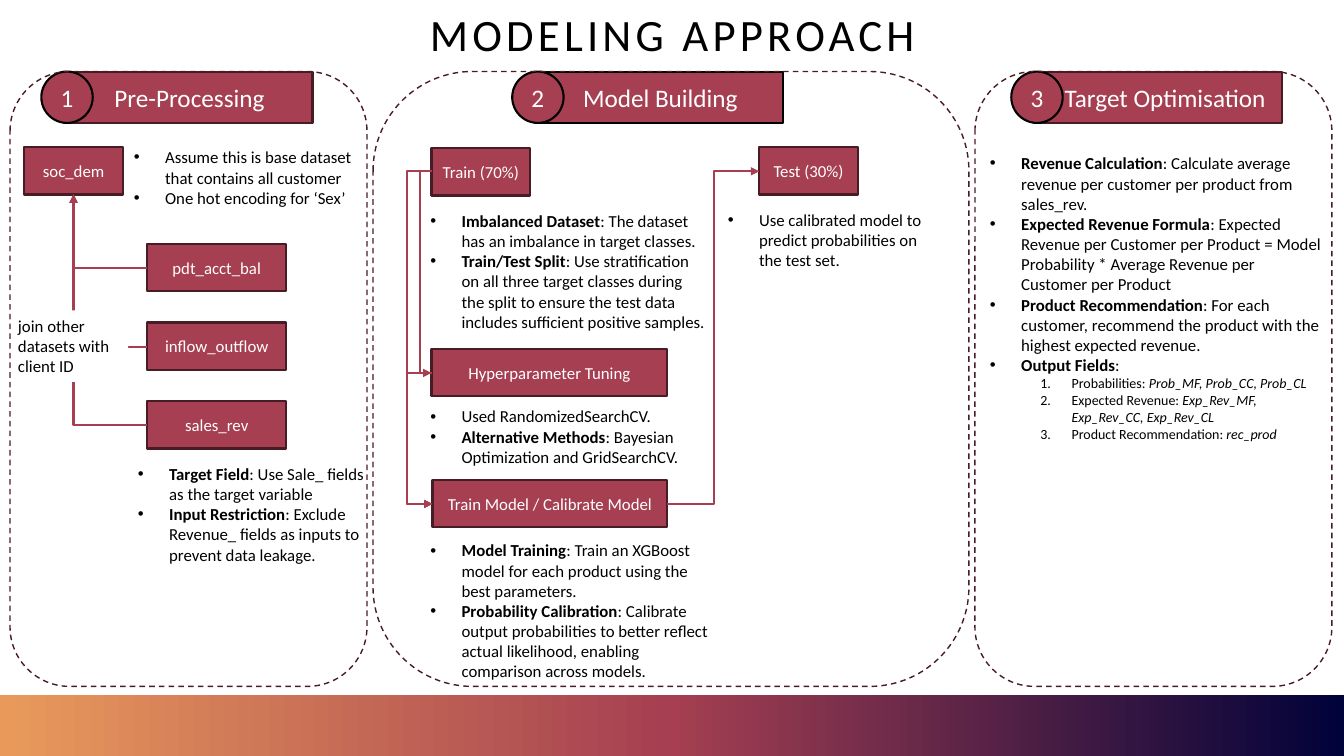
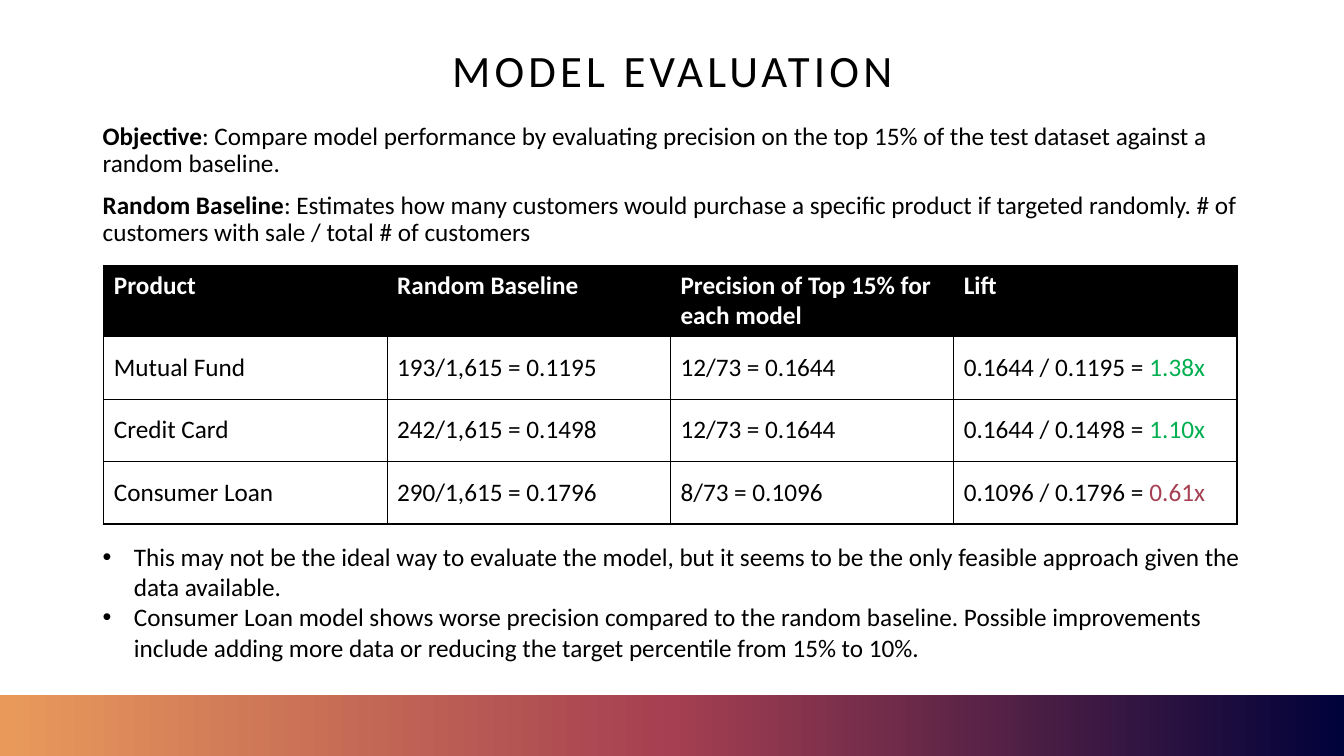
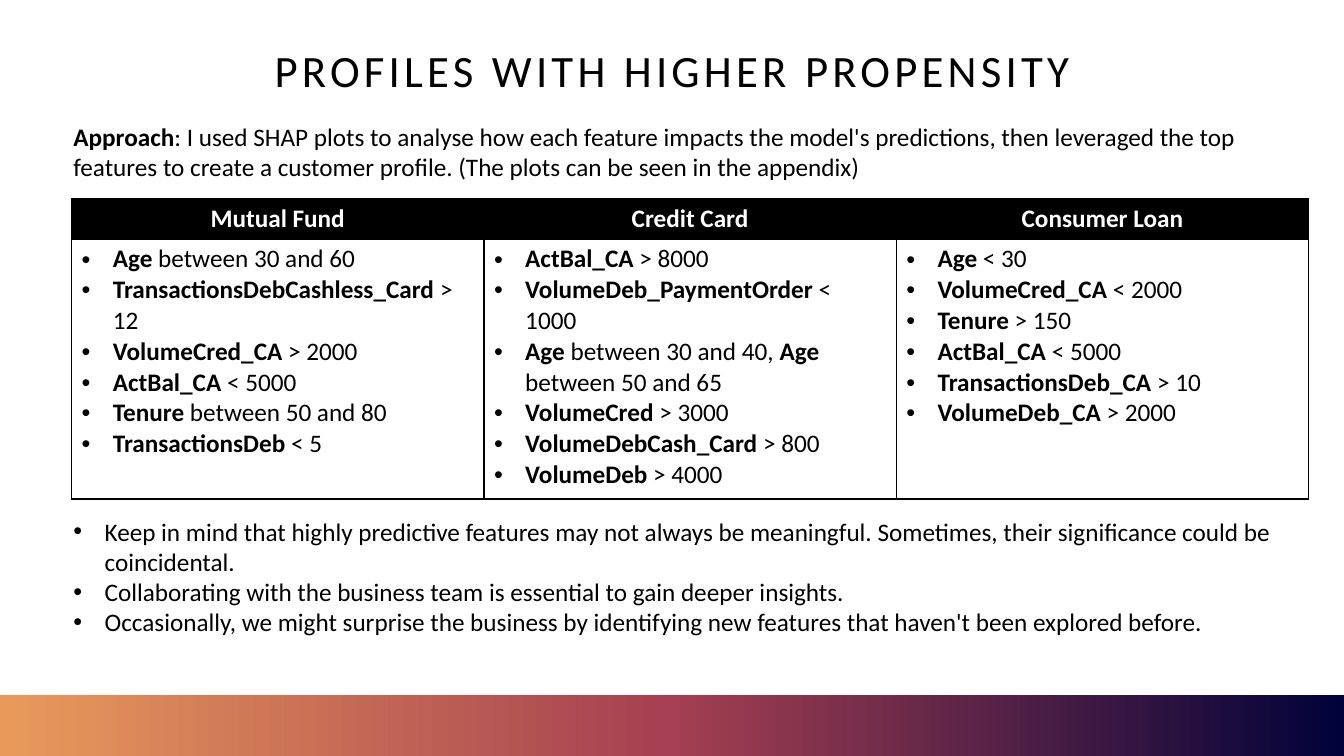
from lxml import etree
from pptx import Presentation, util as u
from pptx.dml.color import RGBColor
from pptx.enum import dml, shapes, text
from pptx.oxml.ns import qn

PX = 9144
FONT = "Calibri"
BLACK, WHITE = "000000", "FFFFFF"
ROSE, PLUM, GREEN = "A53F51", "481C24", "00B050"
BAND_STOPS = [(0, "E99A5B"), (50, ROSE), (100, "00023A")]
PAGE_WIDTH, PAGE_HEIGHT = 1333, 750
BAND_TOP, BAND_HEIGHT = 689, 61
INDENT = 31
NODE_HEIGHT = 47


def px(*lengths):
    return [u.Emu(length * PX) for length in lengths]


def colour(value):
    return RGBColor.from_string(value)


def child(parent, tag, **attributes):
    element = etree.SubElement(parent, qn(tag))
    for name, value in attributes.items():
        element.set(name, str(value))
    return element


def add_bullet(para, kind, level):
    props = para._p.get_or_add_pPr()
    props.set("marL", str((INDENT + 50 * level) * PX))
    props.set("indent", str(-INDENT * PX))
    if kind == "number":
        child(props, "a:buAutoNum", type="arabicPeriod")
    else:
        child(props, "a:buFont", typeface="Arial")
        child(props, "a:buChar", char="•")


def write(frame, lines, size, ink=BLACK, bullet=None, level=0, mark="bold",
          align=text.PP_ALIGN.LEFT, bold=False, spacing=None, before=0):
    for line in lines:
        fresh = not frame.text
        para = frame.paragraphs[0] if fresh else frame.add_paragraph()
        para.alignment = align
        if spacing:
            para.line_spacing = spacing
        if before and not fresh:
            para.space_before = u.Pt(before)
        if bullet:
            add_bullet(para, bullet, level)
        para.font.name = FONT
        para.font.size = u.Pt(size)
        para.font.bold = bold
        para.font.color.rgb = colour(ink)
        for index, part in enumerate(line.split("|")):
            if not part:
                continue
            span = para.add_run()
            span.text = part
            if index % 2 and mark in ("bold", "italic"):
                setattr(span.font, mark, True)
            elif index % 2:
                span.font.color.rgb = colour(mark)


def add_text(page, box, lines, size, fill=None, **style):
    label = page.shapes.add_textbox(*px(*box))
    if fill:
        label.fill.solid()
        label.fill.fore_color.rgb = colour(fill)
    label.text_frame.word_wrap = True
    write(label.text_frame, lines, size, **style)
    return label


def add_node(page, box, caption, size=12, line=PLUM, kind=shapes.MSO_SHAPE.RECTANGLE, inset=10):
    node = page.shapes.add_shape(kind, *px(*box))
    node.shadow.inherit = False
    node.fill.solid()
    node.fill.fore_color.rgb = colour(ROSE)
    node.line.color.rgb = colour(line)
    node.line.width = u.Pt(1.5)
    frame = node.text_frame
    frame.word_wrap = True
    frame.margin_left = px(inset)[0]
    frame.vertical_anchor = text.MSO_ANCHOR.MIDDLE
    write(frame, [caption], size, ink=WHITE, align=text.PP_ALIGN.CENTER)


def add_elbow(page, start, end, via=None):
    arrow = page.shapes.add_connector(shapes.MSO_CONNECTOR.ELBOW, *px(*start, *end))
    arrow.line.color.rgb = colour(ROSE)
    arrow.line.width = u.Pt(1.5)
    props = arrow._element.spPr
    geometry = props.find(qn("a:prstGeom"))
    if via is None:
        geometry.set("prst", "bentConnector2")
    else:
        ratio = (via - start[0]) / (end[0] - start[0])
        guides = geometry.find(qn("a:avLst"))
        child(guides, "a:gd", name="adj1", fmla=f"val {round(ratio * 100000)}")
    child(props.find(qn("a:ln")), "a:tailEnd", type="triangle")
    child(props, "a:effectLst")


def add_band(page):
    band = page.shapes.add_shape(shapes.MSO_SHAPE.RECTANGLE,
                                 *px(0, BAND_TOP, PAGE_WIDTH, BAND_HEIGHT))
    band.shadow.inherit = False
    band.line.fill.background()
    band.fill.gradient()
    band.fill.gradient_angle = 0
    stops = band._element.spPr.find(qn("a:gradFill")).find(qn("a:gsLst"))
    for stop in list(stops):
        stops.remove(stop)
    for position, value in BAND_STOPS:
        child(child(stops, "a:gs", pos=position * 1000), "a:srgbClr", val=value)


def new_page(deck, title, title_height=145):
    page = deck.slides.add_slide(deck.slide_layouts[6])
    add_band(page)
    heading = add_text(page, (92, 0, 1150, title_height), [title], 32,
                       align=text.PP_ALIGN.CENTER, spacing=0.9)
    heading.text_frame.vertical_anchor = text.MSO_ANCHOR.MIDDLE
    span = heading.text_frame.paragraphs[0].runs[0]
    span._r.get_or_add_rPr().set("spc", "300")
    return page


def add_panel(page, box, number, caption, offset, line=PLUM, inset=10):
    left, top = box[0] + offset, box[1]
    add_node(page, (left + 25, top, 244, 51), caption, 18, line, inset=inset)
    add_node(page, (left, top, 51, 51), number, 18, BLACK, shapes.MSO_SHAPE.OVAL)
    outline = page.shapes.add_shape(shapes.MSO_SHAPE.ROUNDED_RECTANGLE, *px(*box))
    outline.shadow.inherit = False
    outline.fill.background()
    outline.line.color.rgb = colour(PLUM)
    outline.line.width = u.Pt(1)
    outline.line.dash_style = dml.MSO_LINE.DASH


def add_preprocessing(page, box):
    left, top = box[:2]
    add_node(page, (left + 14, top + 75, 98, NODE_HEIGHT), "soc_dem")
    for row, name in enumerate(["pdt_acct_bal", "inflow_outflow", "sales_rev"]):
        node_top = top + 171 + 78 * row
        add_node(page, (left + 136, node_top, 138, NODE_HEIGHT), name)
        add_elbow(page, (left + 136, node_top + 24), (left + 63, top + 122))
    add_text(page, (left + 113, top + 70, 244, 71), [
        "Assume this is base dataset that contains all customer",
        "One hot encoding for ‘Sex’",
    ], 12, bullet="dot")
    add_text(page, (left - 2, top + 237, 119, 71),
             ["join other datasets with client ID"], 12, fill=WHITE)
    add_text(page, (left + 117, top + 384, 244, 111), [
        "|Target Field|: Use Sale_ fields as the target variable",
        "|Input Restriction|: Exclude Revenue_ fields as inputs to prevent data leakage.",
    ], 12, bullet="dot")
    add_panel(page, box, "1", "Pre-Processing", 31)


def add_model_building(page, box):
    left, top = box[:2]
    nodes = [
        (58, 76, 98, "Train (70%)"),
        (383, 75, 98, "Test (30%)"),
        (58, 275, 234, "Hyperparameter Tuning"),
        (59, 405, 233, "Train Model / Calibrate Model"),
    ]
    for x, y, width, caption in nodes:
        add_node(page, (left + x, top + y, width, NODE_HEIGHT), caption)
    train_y, tuning_y, model_y = top + 99, top + 299, top + 429
    near, far = left + 58, left + 59
    add_elbow(page, (near, tuning_y), (far, model_y), left + 33)
    add_elbow(page, (far, train_y), (near, tuning_y), left + 46)
    add_elbow(page, (near, train_y), (far, model_y), left + 33)
    add_elbow(page, (left + 292, model_y), (left + 383, train_y), left + 338)
    notes = [
        (47, 133, 296, 131, [
            "|Imbalanced Dataset|: The dataset has an imbalance in target classes.",
            "|Train/Test Split|: Use stratification on all three target classes during the split "
            "to ensure the test data includes sufficient positive samples.",
        ]),
        (47, 327, 296, 71, [
            "Used RandomizedSearchCV.",
            "|Alternative Methods|: Bayesian Optimization and GridSearchCV.",
        ]),
        (47, 460, 296, 151, [
            "|Model Training|: Train an XGBoost model for each product using the best parameters.",
            "|Probability Calibration|: Calibrate output probabilities to better reflect actual "
            "likelihood, enabling comparison across models.",
        ]),
        (342, 132, 220, 71, ["Use calibrated model to predict probabilities on the test set."]),
    ]
    for x, y, width, height, lines in notes:
        add_text(page, (left + x, top + y, width, height), lines, 12, bullet="dot")
    add_panel(page, box, "2", "Model Building", 138, line=BLACK)


def add_target_optimisation(page, box):
    left, top = box[:2]
    notes = add_text(page, (left + 5, top + 76, 352, 300), [
        "|Revenue Calculation|: Calculate average revenue per customer per product from sales_rev.",
        "|Expected Revenue Formula|: Expected Revenue per Customer per Product = "
        "Model Probability * Average Revenue per Customer per Product",
        "|Product Recommendation|: For each customer, recommend the product "
        "with the highest expected revenue.",
        "|Output Fields|:",
    ], 12, bullet="dot")
    write(notes.text_frame, [
        "Probabilities: |Prob_MF, Prob_CC, Prob_CL|",
        "Expected Revenue: |Exp_Rev_MF, Exp_Rev_CC, Exp_Rev_CL|",
        "Product Recommendation: |rec_prod|",
    ], 10, bullet="number", level=1, mark="italic")
    add_panel(page, box, "3", "Target Optimisation", 36, inset=21)


def style_cell(cell, fill):
    props = cell._tc.get_or_add_tcPr()
    for side in ("a:lnL", "a:lnR", "a:lnT", "a:lnB"):
        border = child(props, side, w=12700)
        child(child(border, "a:solidFill"), "a:srgbClr", val=BLACK)
    cell.fill.solid()
    cell.fill.fore_color.rgb = colour(fill)


def add_grid(page, left, top, column_width, row_heights, headers, header_align):
    columns = len(headers)
    frame = page.shapes.add_table(len(row_heights), columns,
                                  *px(left, top, column_width * columns, sum(row_heights)))
    table = frame.table
    table.horz_banding = False
    for column in table.columns:
        column.width = px(column_width)[0]
    for index, (row, height) in enumerate(zip(table.rows, row_heights)):
        row.height = px(height)[0]
        for cell in row.cells:
            style_cell(cell, WHITE if index else BLACK)
    for cell, header in zip(table.rows[0].cells, headers):
        write(cell.text_frame, [header], 18, ink=WHITE, bold=True, align=header_align)
    return table


def add_lift_table(page, left, top):
    table = add_grid(page, left, top, 281, [71, 62, 62, 62],
                     ["Product", "Random Baseline", "Precision of Top 15% for each model", "Lift"],
                     text.PP_ALIGN.LEFT)
    rows = [
        ("Mutual Fund", "193/1,615 = 0.1195", "12/73 = 0.1644", "0.1644 / 0.1195 = |1.38x|", GREEN),
        ("Credit Card", "242/1,615 = 0.1498", "12/73 = 0.1644", "0.1644 / 0.1498 = |1.10x|", GREEN),
        ("Consumer Loan", "290/1,615 = 0.1796", "8/73 = 0.1096", "0.1096 / 0.1796 = |0.61x|", ROSE),
    ]
    for index, (*values, lift_colour) in enumerate(rows, 1):
        for cell, value in zip(table.rows[index].cells, values):
            cell.vertical_anchor = text.MSO_ANCHOR.MIDDLE
            write(cell.text_frame, [value], 18, mark=lift_colour)


def add_profile_table(page, left, top):
    profiles = {
        "Mutual Fund": [
            "|Age| between 30 and 60",
            "|TransactionsDebCashless_Card| > 12",
            "|VolumeCred_CA| > 2000",
            "|ActBal_CA| < 5000",
            "|Tenure| between 50 and 80",
            "|TransactionsDeb| < 5",
        ],
        "Credit Card": [
            "|ActBal_CA| > 8000",
            "|VolumeDeb_PaymentOrder| < 1000",
            "|Age| between 30 and 40, |Age| between 50 and 65",
            "|VolumeCred| > 3000",
            "|VolumeDebCash_Card| > 800",
            "|VolumeDeb| > 4000",
        ],
        "Consumer Loan": [
            "|Age| < 30",
            "|VolumeCred_CA| < 2000",
            "|Tenure| > 150",
            "|ActBal_CA| < 5000",
            "|TransactionsDeb_CA| > 10",
            "|VolumeDeb_CA| > 2000",
        ],
    }
    table = add_grid(page, left, top, 409, [40, 258], list(profiles), text.PP_ALIGN.CENTER)
    for cell, lines in zip(table.rows[1].cells, profiles.values()):
        write(cell.text_frame, lines, 18, bullet="dot")


def build_approach(deck):
    page = new_page(deck, "MODELING APPROACH", 73)
    add_preprocessing(page, (10, 71, 354, 610))
    add_model_building(page, (370, 71, 591, 610))
    add_target_optimisation(page, (967, 71, 354, 610))


def build_evaluation(deck):
    page = new_page(deck, "MODEL EVALUATION")
    add_text(page, (92, 118, 1180, 145), [
        "|Objective|: Compare model performance by evaluating precision on the top 15% "
        "of the test dataset against a random baseline.",
        "|Random Baseline|: Estimates how many customers would purchase a specific product "
        "if targeted randomly. # of customers with sale / total # of customers",
    ], 18, spacing=0.9, before=10)
    add_lift_table(page, 103, 263)
    add_text(page, (92, 532, 1180, 145), [
        "This may not be the ideal way to evaluate the model, but it seems to be "
        "the only feasible approach given the data available.",
        "Consumer Loan model shows worse precision compared to the random baseline. Possible "
        "improvements include adding more data or reducing the target percentile from 15% to 10%.",
    ], 18, bullet="dot")


def build_profiles(deck):
    page = new_page(deck, "PROFILES WITH HIGHER PROPENSITY")
    add_text(page, (63, 115, 1234, 71), [
        "|Approach|: I used SHAP plots to analyse how each feature impacts the model's predictions, "
        "then leveraged the top features to create a customer profile. "
        "(The plots can be seen in the appendix)",
    ], 18)
    add_profile_table(page, 71, 197)
    add_text(page, (63, 507, 1234, 131), [
        "Keep in mind that highly predictive features may not always be meaningful. "
        "Sometimes, their significance could be coincidental.",
        "Collaborating with the business team is essential to gain deeper insights.",
        "Occasionally, we might surprise the business by identifying new features "
        "that haven't been explored before.",
    ], 18, bullet="dot")


def main():
    deck = Presentation()
    deck.slide_width, deck.slide_height = px(PAGE_WIDTH, PAGE_HEIGHT)
    build_approach(deck)
    build_evaluation(deck)
    build_profiles(deck)
    deck.save("out.pptx")


if __name__ == "__main__":
    main()
